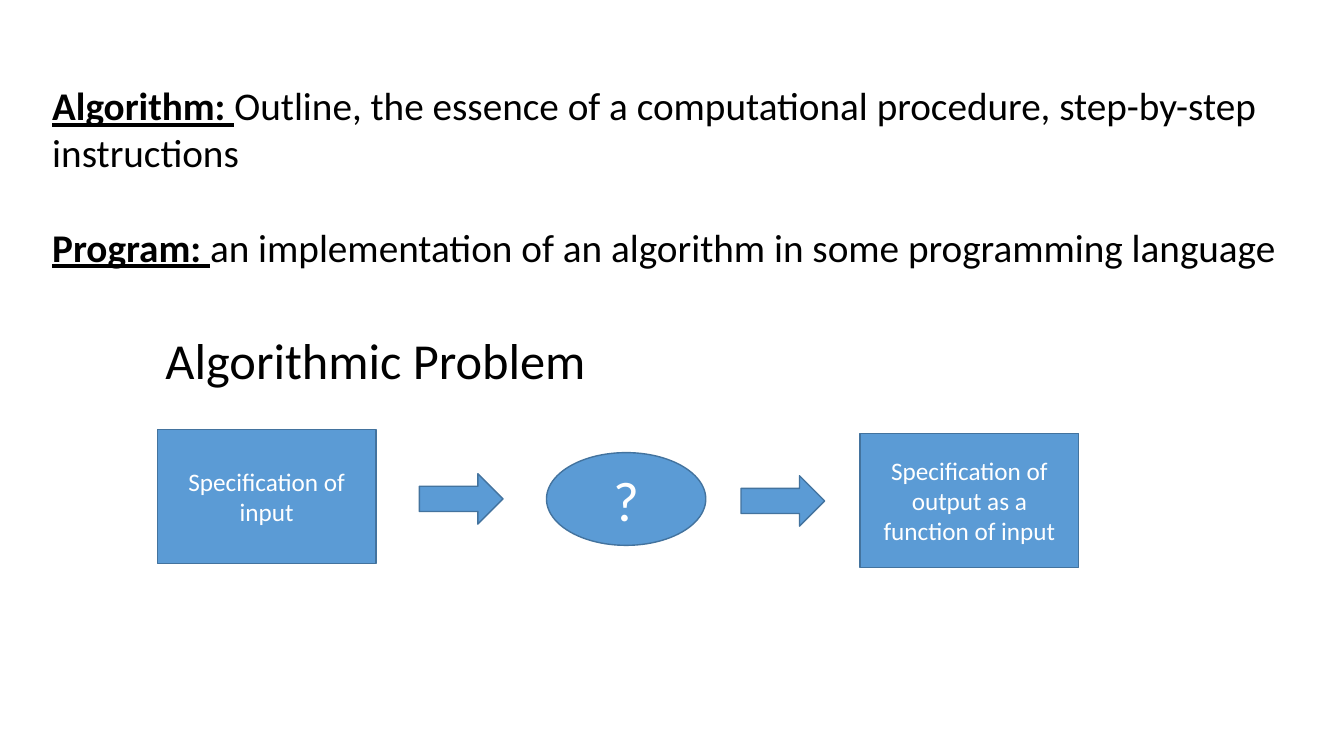
from dataclasses import dataclass

from pptx import Presentation
from pptx import util as u
from pptx.dml.color import RGBColor
from pptx.enum import shapes, text


@dataclass(frozen=True)
class Theme:
    font: str = "Calibri"
    ink: RGBColor = RGBColor(0x00, 0x00, 0x00)
    light: RGBColor = RGBColor(0xFF, 0xFF, 0xFF)
    fill: RGBColor = RGBColor(0x5B, 0x9B, 0xD5)
    outline: RGBColor = RGBColor(0x43, 0x73, 0x9E)
    title: int = 36
    body: int = 28
    label: int = 18
    question: int = 40


THEME = Theme()

DEFINITIONS = [
    ("Algorithm: ", "Outline, the essence of a computational procedure, "
                    "step-by-step instructions"),
    ("Program: ", "an implementation of an algorithm in some programming language"),
]

# Preset, left, top, width, height, label, label size
RECT, ARROW, OVAL = (shapes.MSO_SHAPE.RECTANGLE, shapes.MSO_SHAPE.RIGHT_ARROW,
                     shapes.MSO_SHAPE.OVAL)
FLOW = [
    (RECT, 1.56, 4.26, 2.17, 1.33, "Specification of input", THEME.label),
    (ARROW, 4.16, 4.7, 0.83, 0.5, "", THEME.label),
    (OVAL, 5.42, 4.49, 1.58, 0.92, "?", THEME.question),
    (ARROW, 7.35, 4.72, 0.83, 0.5, "", THEME.label),
    (RECT, 8.53, 4.3, 2.17, 1.33,
     "Specification of output as a function of input", THEME.label),
]


def set_font(p, size, color):
    p.font.name = THEME.font
    p.font.size = u.Pt(size)
    p.font.color.rgb = color


def format_title(sp, words, left, top, width, height):
    sp.left, sp.top = u.Inches(left), u.Inches(top)
    sp.width, sp.height = u.Inches(width), u.Inches(height)
    tf = sp.text_frame
    tf.text = words
    tf.auto_size = text.MSO_AUTO_SIZE.NONE
    tf.vertical_anchor = text.MSO_ANCHOR.TOP
    p = tf.paragraphs[0]
    p.alignment = text.PP_ALIGN.LEFT
    p.line_spacing = 0.9
    set_font(p, THEME.title, THEME.ink)


def add_definitions(s, definitions, left, top, width, height):
    sp = s.shapes.add_textbox(u.Inches(left), u.Inches(top),
                              u.Inches(width), u.Inches(height))
    tf = sp.text_frame
    tf.word_wrap = True
    for i, (term, meaning) in enumerate(definitions):
        p = tf.add_paragraph() if i else tf.paragraphs[0]
        set_font(p, THEME.body, THEME.ink)
        if i:
            p.space_before = u.Pt(34)
        r = p.add_run()
        r.text = term
        r.font.bold = r.font.underline = True
        p.add_run().text = meaning


def add_flow_shape(s, preset, left, top, width, height, label, size):
    sp = s.shapes.add_shape(preset, u.Inches(left), u.Inches(top),
                            u.Inches(width), u.Inches(height))
    sp.shadow.inherit = False
    sp.fill.solid()
    sp.fill.fore_color.rgb = THEME.fill
    sp.line.color.rgb = THEME.outline
    sp.line.width = u.Pt(1)
    if label:
        tf = sp.text_frame
        tf.word_wrap = True
        tf.vertical_anchor = text.MSO_ANCHOR.MIDDLE
        tf.text = label
        p = tf.paragraphs[0]
        p.alignment = text.PP_ALIGN.CENTER
        p.space_before = u.Pt(0.2 * size)
        set_font(p, size, THEME.light)


def main():
    prs = Presentation()
    prs.slide_width, prs.slide_height = u.Inches(13.33), u.Inches(7.5)
    s = prs.slides.add_slide(prs.slide_layouts[5])

    # Definitions and heading
    add_definitions(s, DEFINITIONS, 0.42, 0.76, 12.56, 2.46)
    format_title(s.shapes.title, "Algorithmic Problem", 1.54, 3.28, 9, 0.79)

    # Flow from input to output
    for step in FLOW:
        add_flow_shape(s, *step)

    prs.save("out.pptx")


if __name__ == "__main__":
    main()
